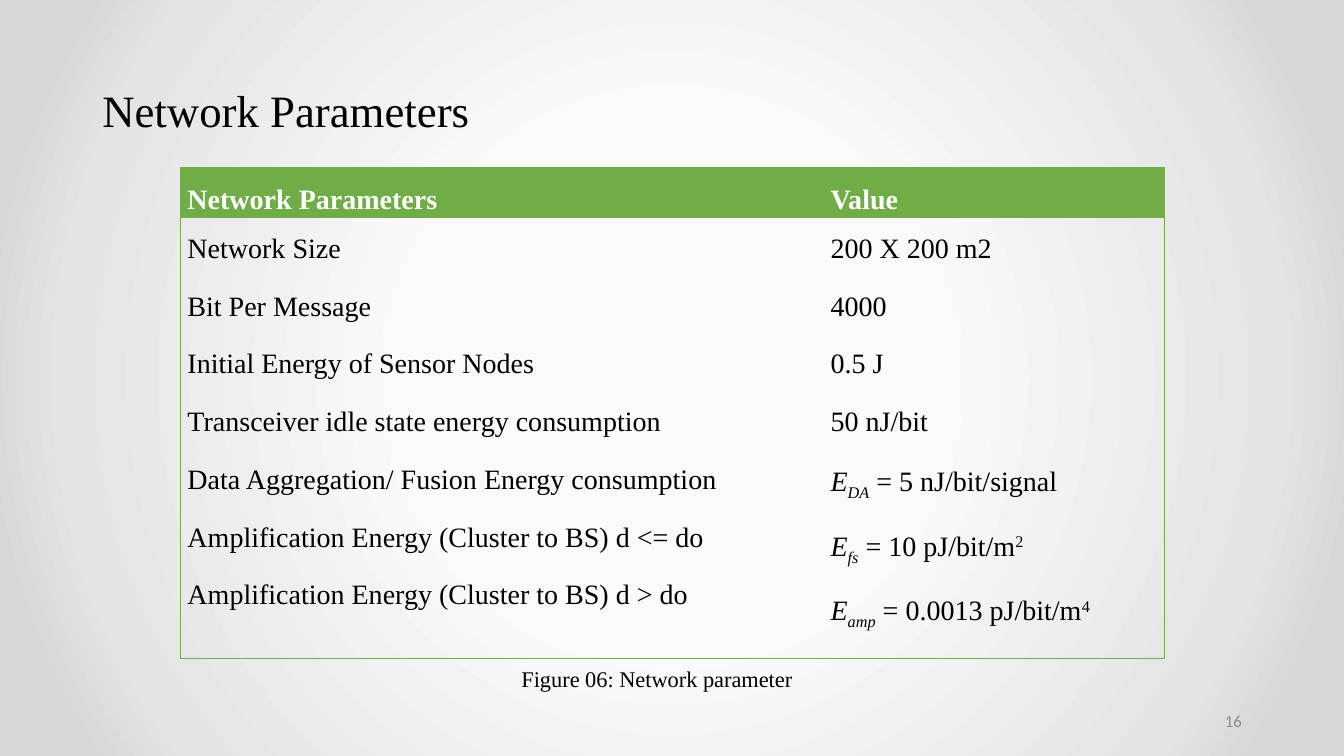
from lxml import etree
from pptx import Presentation
from pptx.dml.color import RGBColor
from pptx.enum.text import MSO_ANCHOR, PP_ALIGN
from pptx.oxml import parse_xml
from pptx.oxml.ns import nsdecls, qn
from pptx.util import Pt

LEFT, CENTER, RIGHT = PP_ALIGN.LEFT, PP_ALIGN.CENTER, PP_ALIGN.RIGHT
TOP, MIDDLE = MSO_ANCHOR.TOP, MSO_ANCHOR.MIDDLE
SERIF, SANS = "Times New Roman", "Calibri"

COLORS = {"text": "000000", "header": "70AD47", "header_text": "FFFFFF", "number": "8C8C8C"}
BACKGROUND_STOPS = [(34, "FAFAFA"), (79, "E4E4E4"), (90, "D7D7D7"), (91, "D7D7D7")]

TITLE = "Network Parameters"
CAPTION = "Figure 06: Network parameter "
PAGE_NUMBER = "16"
HEADERS = ["Network Parameters", "Value"]
# A value is plain text, or a tuple of symbol, subscript, amount and exponent.
PARAMETERS = [
    ("Network Size", "200 X 200 m2"),
    ("Bit Per Message", "4000"),
    ("Initial Energy of Sensor Nodes", "0.5 J"),
    ("Transceiver idle state energy consumption", "50 nJ/bit"),
    ("Data Aggregation/ Fusion Energy consumption", ("E", "DA", " = 5 nJ/bit/signal", "")),
    ("Amplification Energy (Cluster to BS) d <= do", ("E", "fs", " = 10 pJ/bit/m", "2")),
    ("Amplification Energy (Cluster to BS) d > do", ("E", "amp", " = 0.0013 pJ/bit/m", "4")),
]
FORMULA_STYLES = [(True, 0), (True, -25), (False, 0), (False, 30)]  # italic, baseline %

SLIDE_SIZE = (960, 540)
TITLE_BOX = (66, 28.8, 828, 104.4)
TABLE_BOX = (128.88, 119.52, 702.72, 343.44)
COLUMN_WIDTHS = (459.36, 243.36)
ROW_HEIGHTS = (30.24, 313.2)
CAPTION_BOX = (363.6, 471.6, 215.28, 26.64)
NUMBER_BOX = (678.24, 500.4, 216, 28.8)
CELL_MARGIN = 5.04
BORDER_WIDTH = 0.5


def write_text(frame, lines, size=20, font=SERIF, color="text", bold=False,
               align=LEFT, anchor=TOP, spacing=1.0, after=0, wrap=True):
    """Write one paragraph per line; a tuple becomes a formula."""
    frame.word_wrap = wrap
    frame.vertical_anchor = anchor
    for index, line in enumerate(lines):
        paragraph = frame.paragraphs[0] if index == 0 else frame.add_paragraph()
        paragraph.alignment = align
        paragraph.line_spacing = spacing
        paragraph.space_after = Pt(after)
        parts = (line,) if isinstance(line, str) else line
        styles = FORMULA_STYLES if len(parts) > 1 else [(False, 0)]
        for part, (italic, baseline) in zip(parts, styles):
            if not part:
                continue
            run = paragraph.add_run()
            run.text = part
            run.font.size, run.font.name = Pt(size), font
            run.font.bold, run.font.italic = bold, italic
            run.font.color.rgb = RGBColor.from_string(COLORS[color])
            if baseline:
                run._r.get_or_add_rPr().set("baseline", str(baseline * 1000))


def add_text(slide, box, text, **style):
    frame = slide.shapes.add_textbox(*map(Pt, box)).text_frame
    write_text(frame, [text], **style)


def set_background(slide):
    stops = "".join(f'<a:gs pos="{position * 1000}"><a:srgbClr val="{color}"/></a:gs>'
                    for position, color in BACKGROUND_STOPS)
    slide.element.cSld.insert(0, parse_xml(
        f'<p:bg {nsdecls("p", "a")}><p:bgPr><a:gradFill rotWithShape="1"><a:gsLst>{stops}</a:gsLst>'
        '<a:path path="circle"><a:fillToRect l="50000" t="50000" r="50000" b="50000"/></a:path>'
        '</a:gradFill><a:effectLst/></p:bgPr></p:bg>'))


def set_borders(cell, visible):
    """Draw the sides named in visible (from L, R, T, B) and clear the others."""
    properties = cell._tc.get_or_add_tcPr()
    for index, side in enumerate("LRTB"):
        line = etree.Element(qn(f"a:ln{side}"), w=str(Pt(BORDER_WIDTH)))
        if side in visible:
            fill = etree.SubElement(line, qn("a:solidFill"))
            etree.SubElement(fill, qn("a:srgbClr"), val=COLORS["header"])
        else:
            etree.SubElement(line, qn("a:noFill"))
        properties.insert(index, line)


def add_parameter_table(slide):
    table = slide.shapes.add_table(2, 2, *map(Pt, TABLE_BOX)).table
    table.first_row = table.horz_banding = False
    for row, height in zip(table.rows, ROW_HEIGHTS):
        row.height = Pt(height)
    names_and_values = list(zip(*PARAMETERS))
    for column, width in enumerate(COLUMN_WIDTHS):
        table.columns[column].width = Pt(width)
        header, body = table.cell(0, column), table.cell(1, column)
        header.fill.solid()
        header.fill.fore_color.rgb = RGBColor.from_string(COLORS["header"])
        body.fill.background()
        outer_side = "LR"[column]
        set_borders(header, outer_side + "T")
        set_borders(body, outer_side + "TB")
        for cell in (header, body):
            cell.margin_left = cell.margin_right = Pt(CELL_MARGIN)
            cell.margin_top = cell.margin_bottom = 0
        header.vertical_anchor = MIDDLE
        write_text(header.text_frame, [HEADERS[column]], color="header_text", bold=True,
                   anchor=MIDDLE, spacing=1.5, after=8)
        write_text(body.text_frame, names_and_values[column], spacing=1.5, after=8)


def main():
    presentation = Presentation()
    presentation.slide_width, presentation.slide_height = map(Pt, SLIDE_SIZE)
    slide = presentation.slides.add_slide(presentation.slide_layouts[6])
    set_background(slide)
    add_text(slide, TITLE_BOX, TITLE, size=32, anchor=MIDDLE, spacing=0.9)
    add_parameter_table(slide)
    add_text(slide, NUMBER_BOX, PAGE_NUMBER, size=12, font=SANS, color="number",
             align=RIGHT, anchor=MIDDLE)
    add_text(slide, CAPTION_BOX, CAPTION, size=16, align=CENTER, wrap=False)
    presentation.save("out.pptx")


if __name__ == "__main__":
    main()
